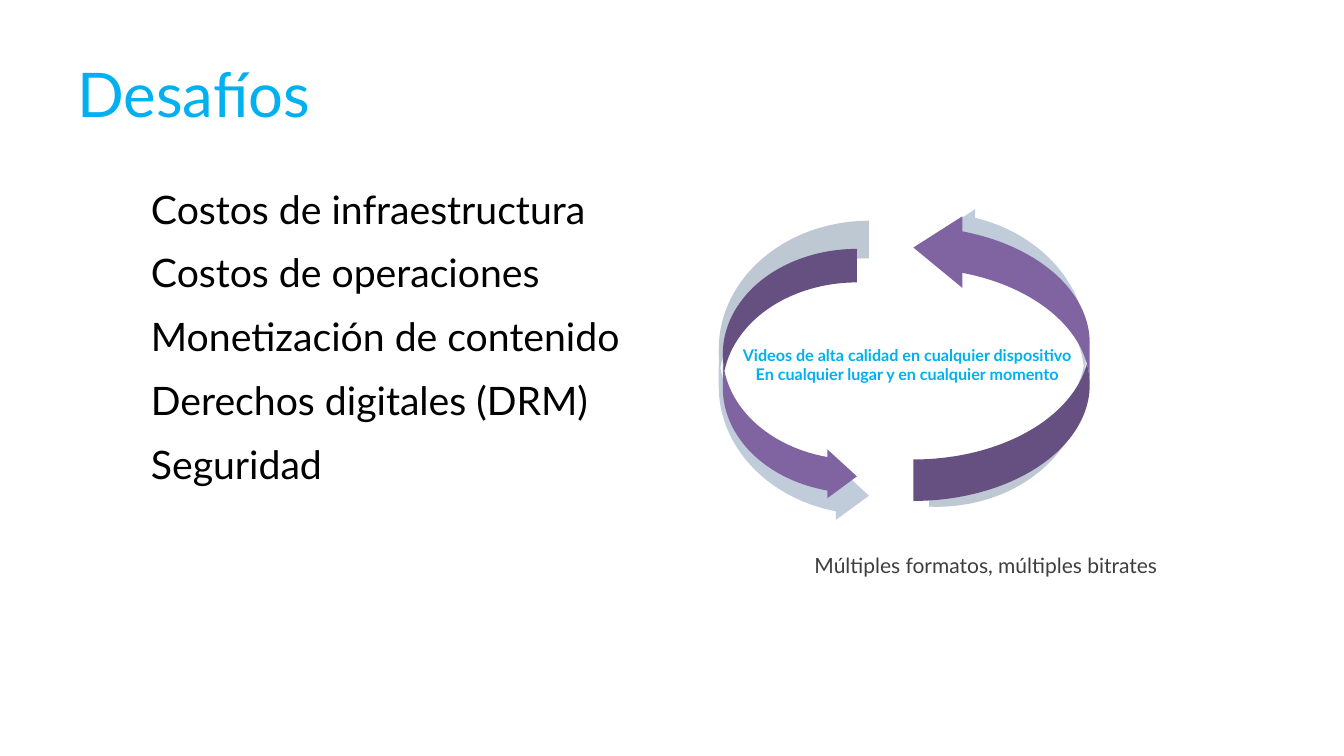
from lxml import etree
from pptx import Presentation
from pptx.dml.color import RGBColor
from pptx.enum.shapes import MSO_SHAPE as Shape
from pptx.enum.text import MSO_ANCHOR as Anchor, MSO_AUTO_SIZE as AutoSize, PP_ALIGN as Align
from pptx.oxml.ns import qn
from pptx.util import Pt

FONT = "Lato"
SKY, BLACK, GREY = "00B0F0", "000000", "3E3E3E"
PURPLE, NAVY = "8064A2", "1F497D"
CHALLENGES = [
    "Costos de infraestructura",
    "Costos de operaciones",
    "Monetización de contenido",
    "Derechos digitales (DRM)",
    "Seguridad",
]


def rgb(value):
    return RGBColor.from_string(value)


def style(frame, size, color, bold=False, align=Align.LEFT):
    for paragraph in frame.paragraphs:
        paragraph.alignment = align
        for run in paragraph.runs:
            run.font.name = FONT
            run.font.size = Pt(size)
            run.font.bold = bold
            run.font.color.rgb = rgb(color)


def add_label(slide, box, text, size, color, wrap=False, **look):
    label = slide.shapes.add_textbox(*map(Pt, box))
    frame = label.text_frame
    frame.text = text
    frame.word_wrap = wrap
    frame.auto_size = AutoSize.SHAPE_TO_FIT_TEXT
    style(frame, size, color, **look)
    return frame


def add_arrow(slide, box, bends, color, rotation=0, opacity=100):
    arrow = slide.shapes.add_shape(Shape.CURVED_RIGHT_ARROW, *map(Pt, box))
    arrow.rotation = rotation
    for index, bend in enumerate(bends):
        arrow.adjustments[index] = bend
    arrow.shadow.inherit = False
    arrow.line.fill.background()
    arrow.fill.solid()
    arrow.fill.fore_color.rgb = rgb(color)
    if opacity < 100:
        tint = arrow.fill._xPr.find(qn("a:solidFill"))[0]
        etree.SubElement(tint, qn("a:alpha")).set("val", str(opacity * 1000))


def add_title(slide, box):
    title = slide.shapes.title
    title.left, title.top, title.width, title.height = map(Pt, box)
    title.text_frame.text = "Desafíos"
    title.text_frame.vertical_anchor = Anchor.MIDDLE
    style(title.text_frame, 44, SKY)


def add_challenges(slide, left, top, width, pitch):
    for row, challenge in enumerate(CHALLENGES):
        add_label(slide, (left, top + row * pitch, width, 41), challenge, 28, BLACK, wrap=True)


def add_cycle(slide, left, top):
    slim, broad = (0.25, 0.365, 0.221), (0.235, 0.406, 0.278)

    # Pale arrows behind
    add_arrow(slide, (left + 158.4, top, 107.3, 216), slim, NAVY, 182.5, 28)
    add_arrow(slide, (left + 3.6, top + 9.4, 107.3, 216), slim, NAVY, opacity=28)

    # Purple arrows in front
    add_arrow(slide, (left + 142.6, top + 2.9, 126, 206.6), broad, PURPLE, 180)
    add_arrow(slide, (left + 6.5, top + 29.5, 95.8, 180), slim, PURPLE)

    # Caption below the cycle
    caption = add_label(slide, (left + 72, top + 248.4, 249.1, 16.6),
                        "Múltiples formatos, múltiples bitrates", 15, GREY)
    caption.margin_left = caption.margin_right = 0
    caption.margin_top = caption.margin_bottom = 0
    caption.paragraphs[0].line_spacing = 0.9

    # Promise inside the cycle
    add_label(slide, (left, top + 95, 276.5, 36),
              "Videos de alta calidad en cualquier dispositivo\n"
              "En cualquier lugar y en cualquier momento",
              11.5, SKY, bold=True, align=Align.CENTER)


def main():
    deck = Presentation()
    deck.slide_width, deck.slide_height = Pt(960), Pt(540)
    slide = deck.slides.add_slide(deck.slide_layouts[5])
    add_title(slide, (48, 21.6, 864, 90))
    add_cycle(slide, 509.8, 148.3)
    add_challenges(slide, 100.8, 128.6, 640, 45.6)
    deck.save("out.pptx")


if __name__ == "__main__":
    main()
